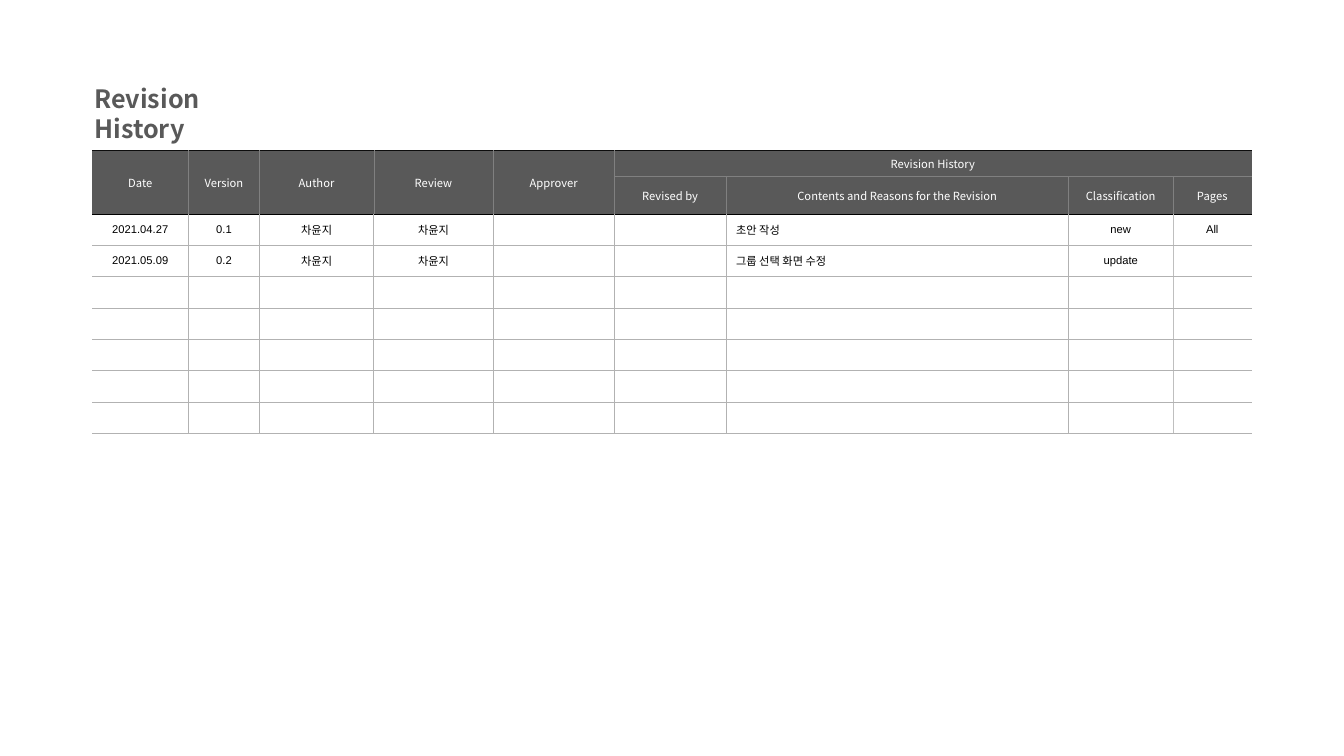
from lxml import etree
from pptx import Presentation
from pptx.dml.color import RGBColor
from pptx.enum.text import MSO_ANCHOR, MSO_AUTO_SIZE, PP_ALIGN
from pptx.oxml.ns import qn
from pptx.util import Cm, Pt

COLORS = {
    "header": "595959", "header_text": "FFFFFF", "body_text": "000000",
    "top": "0D0D0D", "header_line": "808080", "header_end": "000000",
    "grid": "B2B2B2", "pages_line": "BFBFBF",
}
NOTO = "Noto Sans CJK KR"
WIDTHS = [2.43, 1.79, 2.88, 3.01, 3.05, 2.82, 8.63, 2.63, 1.98]
HEIGHTS = [0.6, 0.95] + [0.79] * 7
ROWS = [
    ["Date", "Version", "Author", "Review", "Approver", "Revision History"],
    ["", "", "", "", "", "Revised by", "Contents and Reasons for the Revision",
     "Classification", "Pages"],
    ["2021.04.27", "0.1", "차윤지", "차윤지", "", "", "초안 작성", "new", "All"],
    ["2021.05.09", "0.2", "차윤지", "차윤지", "", "", "그룹 선택 화면 수정", "update"],
]
HEADER_ROWS, GROUP_COL, CONTENTS_COL = 2, 5, 6
LAST_COL = len(WIDTHS) - 1


def set_border(cell, side, line):
    ln = etree.SubElement(cell._tc.get_or_add_tcPr(), qn("a:ln" + side))
    if line is None:
        etree.SubElement(ln, qn("a:noFill"))
        return
    color, width = line
    ln.set("w", str(Pt(width)))
    fill = etree.SubElement(ln, qn("a:solidFill"))
    etree.SubElement(fill, qn("a:srgbClr"), val=COLORS[color])


def style_run(r, size, font, color):
    r.font.size = Pt(size)
    r.font.name = font
    r.font.color.rgb = RGBColor.from_string(COLORS[color])
    etree.SubElement(r.font._element, qn("a:ea"), typeface=NOTO)


prs = Presentation()
prs.slide_width, prs.slide_height = Cm(33.87), Cm(19.05)
s = prs.slides.add_slide(prs.slide_layouts[6])

# Table grid
frame = s.shapes.add_table(len(HEIGHTS), len(WIDTHS), Cm(2.32), Cm(3.79),
                           Cm(sum(WIDTHS)), Cm(sum(HEIGHTS)))
table = frame.table
table.first_row = table.horz_banding = False
for col, width in zip(table.columns, WIDTHS):
    col.width = Cm(width)
for row, height in zip(table.rows, HEIGHTS):
    row.height = Cm(height)

# Merged header cells
for c in range(GROUP_COL):
    table.cell(0, c).merge(table.cell(1, c))
table.cell(0, GROUP_COL).merge(table.cell(0, LAST_COL))

# Borders, fills and text
for i in range(len(HEIGHTS)):
    header = i < HEADER_ROWS
    texts = ROWS[i] if i < len(ROWS) else []
    for c in range(len(WIDTHS)):
        cell = table.cell(i, c)
        grouped = c >= GROUP_COL
        inner = ("header_line", 0.25) if header else ("grid", 0.75)
        pages = inner if header else ("pages_line", 0.25)
        left = None if c == 0 else pages if c == LAST_COL else inner
        right = None if c == LAST_COL else pages if c == LAST_COL - 1 else inner
        top = bottom = inner
        if i == 0:
            top = ("top", 0.25)
            if grouped:
                right = None
            if c > GROUP_COL:
                left = None
        if i == HEADER_ROWS:
            top = ("header_end", 0.25)
        if i == 1 or (i == 0 and not grouped):
            bottom = ("header_end", 0.25)
        for side, line in zip("LRTB", (left, right, top, bottom)):
            set_border(cell, side, line)

        if header:
            cell.fill.solid()
            cell.fill.fore_color.rgb = RGBColor.from_string(COLORS["header"])
        else:
            cell.fill.background()
        cell.vertical_anchor = MSO_ANCHOR.MIDDLE
        cell.margin_left = cell.margin_right = Cm(0.23 if header else 0.25)
        cell.margin_top = cell.margin_bottom = Cm(0.12)

        p = cell.text_frame.paragraphs[0]
        text = texts[c] if c < len(texts) else ""
        if text:
            p.text = text
            p.space_before = Pt(1.6)
            contents = c == CONTENTS_COL and not header
            p.alignment = PP_ALIGN.LEFT if contents else PP_ALIGN.CENTER
            style_run(p.runs[0], 8, NOTO if header else "Arial",
                      "header_text" if header else "body_text")
        else:
            # Keeps empty rows from growing
            etree.SubElement(p._p, qn("a:endParaRPr"), sz="800")

# Title
sp = s.shapes.add_textbox(Cm(2.13), Cm(1.98), Cm(5.36), Cm(1.02))
tf = sp.text_frame
tf.word_wrap = True
tf.auto_size = MSO_AUTO_SIZE.SHAPE_TO_FIT_TEXT
tf.text = "Revision History"
r = tf.paragraphs[0].runs[0]
style_run(r, 18, NOTO, "header")
r.font.bold = True

prs.save("out.pptx")
